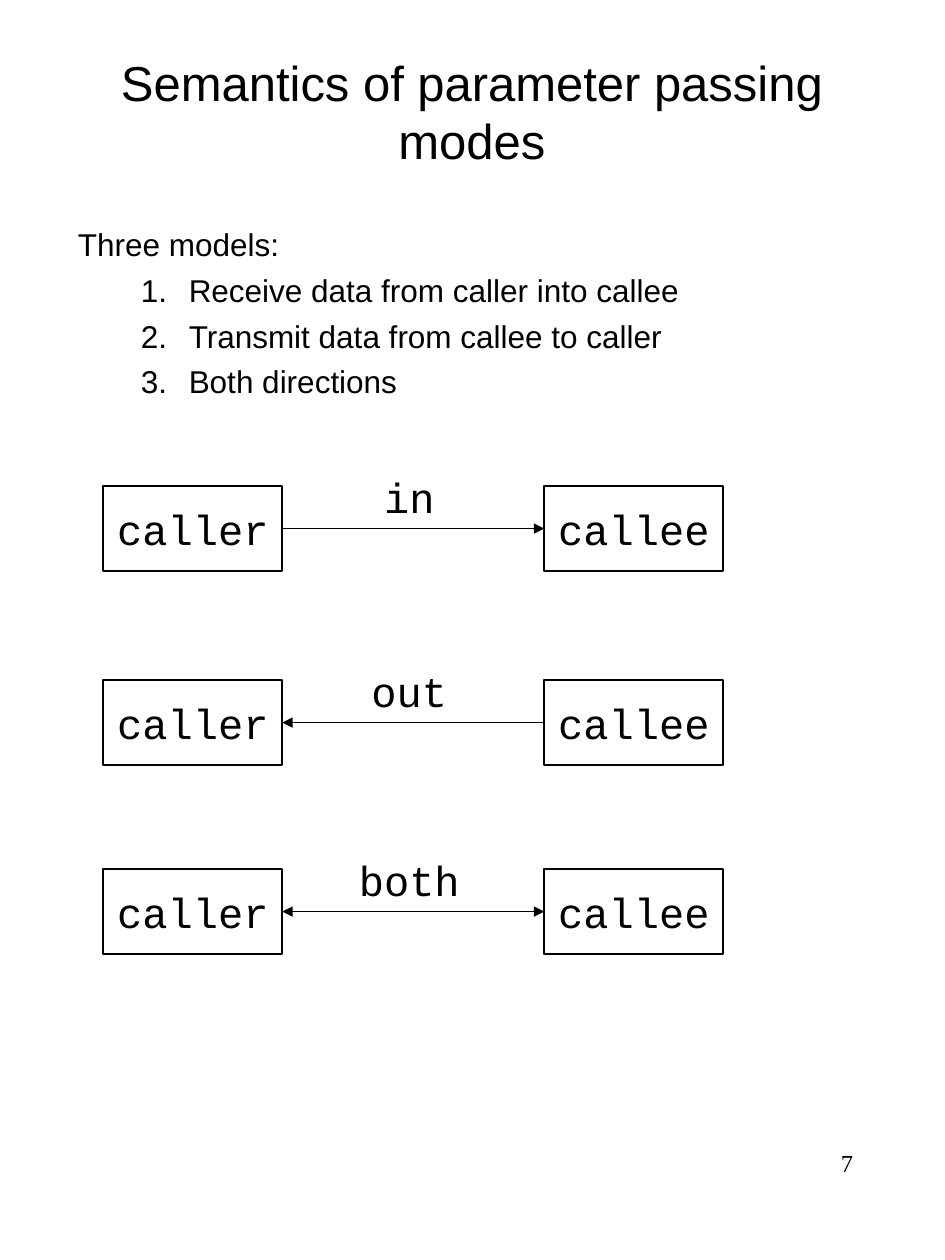
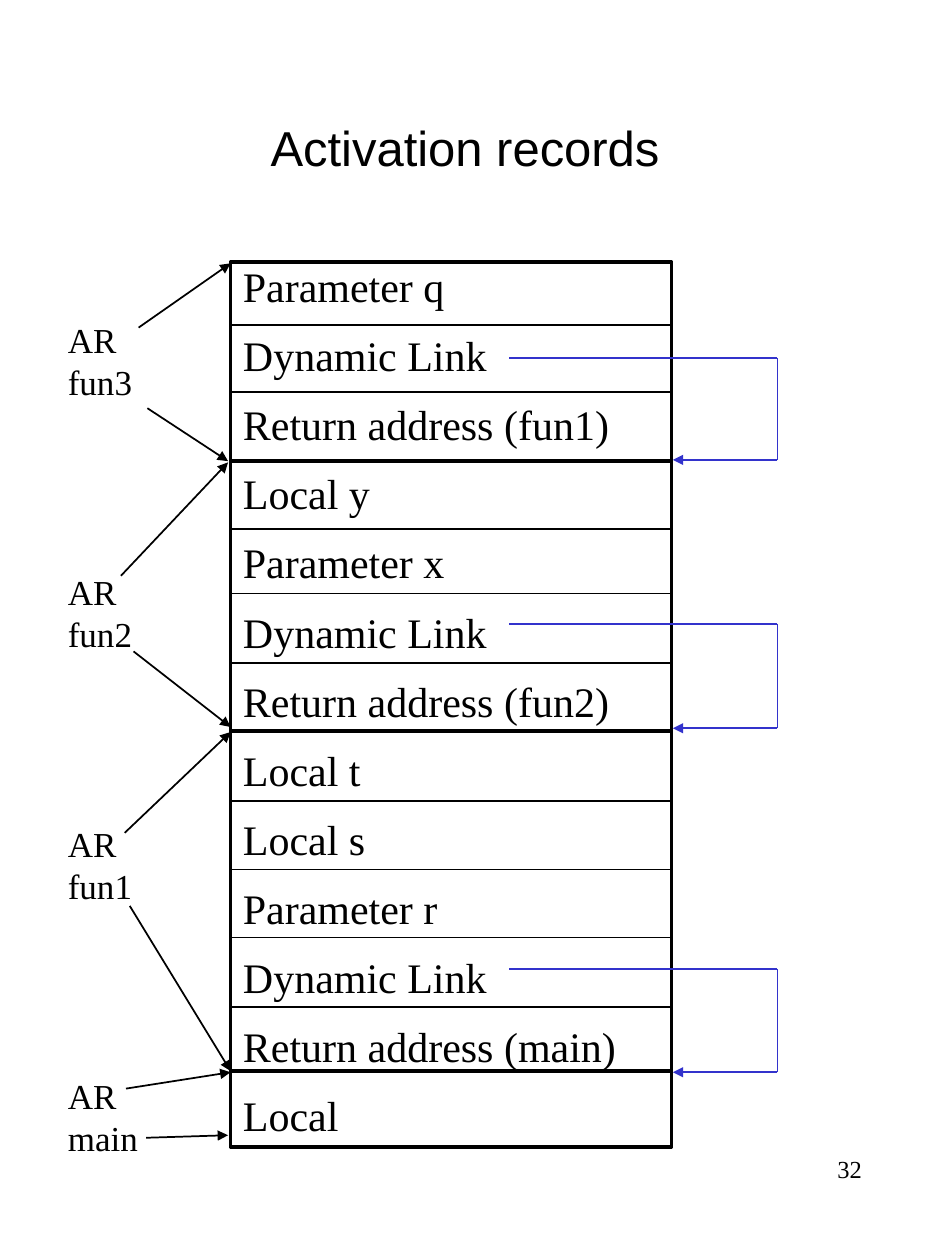
"""Build two slides on parameter passing modes and activation records."""
from dataclasses import dataclass

from lxml.etree import SubElement
from pptx import Presentation
from pptx.dml.color import RGBColor
from pptx.enum.shapes import MSO_CONNECTOR as Connector, MSO_SHAPE as Shape
from pptx.enum.text import MSO_ANCHOR as Anchor, PP_ALIGN as Align
from pptx.oxml.ns import qn
from pptx.util import Emu, Pt

EMU_PER_PX = 9144


@dataclass(frozen=True)
class Theme:
    """Colours, fonts, type sizes and line widths of the deck."""
    ink: RGBColor = RGBColor(0, 0, 0)
    link: RGBColor = RGBColor(0x33, 0x33, 0xCC)
    sans: str = "Arial"
    mono: str = "Courier New"
    serif: str = "Times New Roman"
    title_size: int = 28
    diagram_size: int = 24
    record_size: int = 20
    body_size: int = 18
    page_size: int = 14
    thin: float = 1
    bold: float = 2.25


THEME = Theme()

MODELS = ["Receive data from caller into callee",
          "Transmit data from callee to caller",
          "Both directions"]

MODES = [("in", 386, False, True),
         ("out", 540, True, False),
         ("both", 690, True, True)]

STACK_LEFT, STACK_TOP, STACK_RIGHT, STACK_BOTTOM = 183, 208, 533, 910
STACK_ROWS = [("Parameter q", 258), ("Dynamic Link", 311),
              ("Return address (fun1)", 366), ("Local y", 420),
              ("Parameter x", 471), ("Dynamic Link", 526),
              ("Return address (fun2)", 580), ("Local t", 636),
              ("Local s", 690), ("Parameter r", 744),
              ("Dynamic Link", 799), ("Return address (main)", 850),
              ("Local", STACK_BOTTOM)]

RECORD_OWNERS = ["fun3", "fun2", "fun1", "main"]
RECORD_ARROWS = [((110, 260), (183, 209)), ((117, 324), (181, 366)),
                 ((96, 457), (181, 367)), ((106, 517), (183, 577)),
                 ((99, 661), (183, 581)), ((103, 719), (183, 850)),
                 ((100, 864), (183, 851)), ((116, 903), (181, 901))]

LINK_START, LINK_TURN, LINK_END = 404, 617, 534
DYNAMIC_LINKS = [(284, 365), (495, 578), (769, 851)]


def px(*lengths):
    """Turn px lengths into EMU."""
    return [Emu(length * EMU_PER_PX) for length in lengths]


def write(paragraph, text, font, size):
    """Add one run of dark text to a paragraph."""
    run = paragraph.add_run()
    run.text = text
    run.font.name = font
    run.font.size = Pt(size)
    run.font.color.rgb = THEME.ink


def write_lines(frame, lines, font, size, align=Align.LEFT):
    """Fill a text frame with one paragraph per line and return them."""
    paragraphs = []
    for line in lines:
        paragraph = frame.add_paragraph() if paragraphs else frame.paragraphs[0]
        paragraph.alignment = align
        write(paragraph, line, font, size)
        paragraphs.append(paragraph)
    return paragraphs


def add_text(slide, area, lines, font, size, align=Align.LEFT,
             anchor=Anchor.TOP, wrap=True):
    """Add a text box and return its paragraphs."""
    frame = slide.shapes.add_textbox(*px(*area)).text_frame
    frame.word_wrap = wrap
    frame.vertical_anchor = anchor
    return write_lines(frame, lines, font, size, align)


def add_title(slide, title, area):
    """Add the centred slide title."""
    add_text(slide, area, [title], THEME.sans, THEME.title_size,
             Align.CENTER, Anchor.MIDDLE)


def add_page_number(slide, number, left, top):
    """Add the page number at the lower right."""
    add_text(slide, (left, top, 156, 67), [number], THEME.serif,
             THEME.page_size, Align.RIGHT)


def add_frame(slide, area, weight):
    """Add an unfilled outlined rectangle."""
    outline = slide.shapes.add_shape(Shape.RECTANGLE, *px(*area))
    outline.shadow.inherit = False
    outline.fill.background()
    outline.line.color.rgb = THEME.ink
    outline.line.width = Pt(weight)
    return outline


def add_line(slide, start, end, color=THEME.ink, weight=THEME.thin,
             head=False, tail=False):
    """Add a straight line with optional arrowheads."""
    line = slide.shapes.add_connector(Connector.STRAIGHT, *px(*start, *end))
    line.line.color.rgb = color
    line.line.width = Pt(weight)
    outline = line.line._get_or_add_ln()
    for tag, shown in (("a:headEnd", head), ("a:tailEnd", tail)):
        if shown:
            SubElement(outline, qn(tag), type="triangle")
    SubElement(line._element.spPr, qn("a:effectLst"))
    return line


def indent(paragraph, margin, hanging, numbered=False):
    """Give a paragraph a hanging indent and, if asked, a number."""
    properties = paragraph._p.get_or_add_pPr()
    left, first = px(margin, -hanging)
    properties.set("marL", str(left))
    properties.set("indent", str(first))
    if numbered:
        SubElement(properties, qn("a:buFont"), typeface=THEME.sans)
        SubElement(properties, qn("a:buAutoNum"), type="arabicPeriod")


def add_models(slide):
    """Add the numbered list of models under its lead-in."""
    lead, *items = add_text(slide, (52, 174, 637, 600),
                            ["Three models:", *MODELS],
                            THEME.sans, THEME.body_size)
    indent(lead, 38, 38)
    for item in items:
        item.space_before = Pt(4.5)
        indent(item, 88, 38, numbered=True)


def add_routine(slide, name, left, top):
    """Add a boxed routine name."""
    routine = add_frame(slide, (left, top, 142, 67), THEME.thin)
    frame = routine.text_frame
    frame.word_wrap = False
    frame.vertical_anchor = Anchor.MIDDLE
    write_lines(frame, [name], THEME.mono, THEME.diagram_size, Align.CENTER)
    return routine


def add_mode(slide, mode, top, to_caller, to_callee):
    """Add caller and callee joined by the arrow of one passing mode."""
    caller = add_routine(slide, "caller", 82, top)
    callee = add_routine(slide, "callee", 432, top)
    flow = add_line(slide, (224, top + 34), (432, top + 34),
                    head=to_caller, tail=to_callee)
    flow.begin_connect(caller, 3)
    flow.end_connect(callee, 1)
    width = 20 + 20 * len(mode)
    add_text(slide, (325 - width // 2, top - 17, width, 50), [mode],
             THEME.mono, THEME.diagram_size, wrap=False)


def add_stack(slide):
    """Add the run-time stack with a rule under each entry."""
    stack = add_frame(slide, (STACK_LEFT, STACK_TOP, STACK_RIGHT - STACK_LEFT,
                              STACK_BOTTOM - STACK_TOP), THEME.bold)
    frame = stack.text_frame
    frame.word_wrap = True
    frame.vertical_anchor = Anchor.TOP
    entries = write_lines(frame, [entry for entry, _ in STACK_ROWS],
                          THEME.serif, THEME.diagram_size)
    for position, entry in enumerate(entries):
        entry.line_spacing = 0.85
        entry.space_before = Pt(15 if position else 0)
    for entry, bottom in STACK_ROWS[:-1]:
        ends_record = entry.startswith("Return")
        add_line(slide, (STACK_LEFT, bottom), (STACK_RIGHT, bottom),
                 weight=THEME.bold if ends_record else THEME.thin)


def add_dynamic_link(slide, source, target):
    """Add the three-part link from an entry to the record below."""
    corners = [(LINK_START, source), (LINK_TURN, source),
               (LINK_TURN, target), (LINK_END, target)]
    for start, end in zip(corners, corners[1:]):
        add_line(slide, start, end, THEME.link, tail=end == corners[-1])


def add_record_labels(slide):
    """Add the record names and the arrows to their bounds."""
    lines = [line for owner in RECORD_OWNERS for line in ("AR", owner)]
    labels = add_text(slide, (44, 248, 90, 677), lines, THEME.serif,
                      THEME.record_size)
    for label in labels[2::2]:
        label.space_before = Pt(96)
    for start, end in RECORD_ARROWS:
        add_line(slide, start, end, tail=True)


def build_modes_slide(slide):
    """Build the slide on parameter passing modes."""
    add_page_number(slide, "7", 531, 906)
    add_title(slide, "Semantics of parameter passing modes", (56, 17, 637, 142))
    add_models(slide)
    for mode in MODES:
        add_mode(slide, *mode)


def build_records_slide(slide):
    """Build the slide on activation records."""
    add_page_number(slide, "32", 538, 911)
    add_title(slide, "Activation records", (50, 33, 638, 167))
    add_stack(slide)
    for source, target in DYNAMIC_LINKS:
        add_dynamic_link(slide, source, target)
    add_record_labels(slide)


def main():
    """Build and save the deck."""
    deck = Presentation()
    deck.slide_width, deck.slide_height = px(750, 1000)
    for build in (build_modes_slide, build_records_slide):
        build(deck.slides.add_slide(deck.slide_layouts[6]))
    deck.save("out.pptx")


if __name__ == "__main__":
    main()
